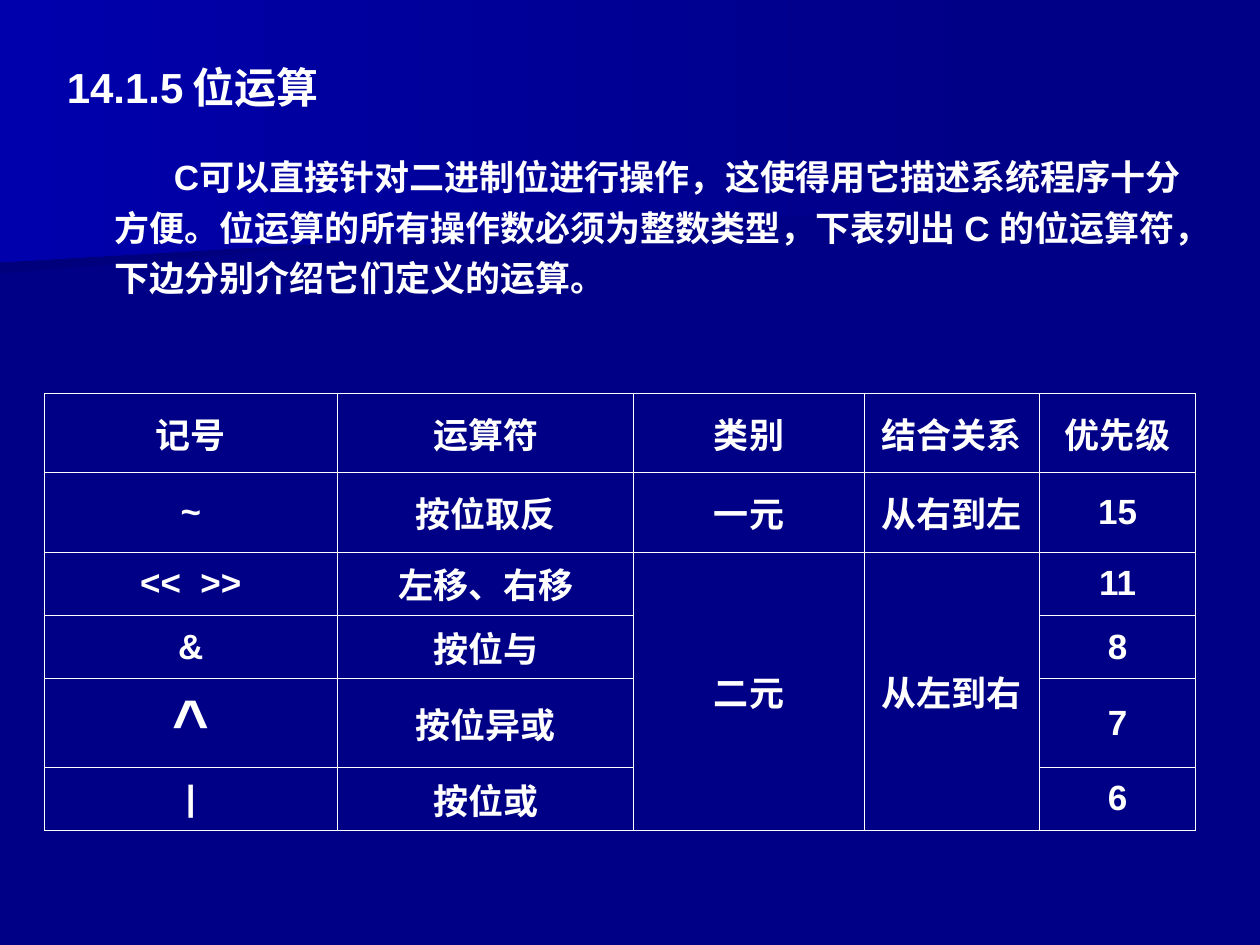
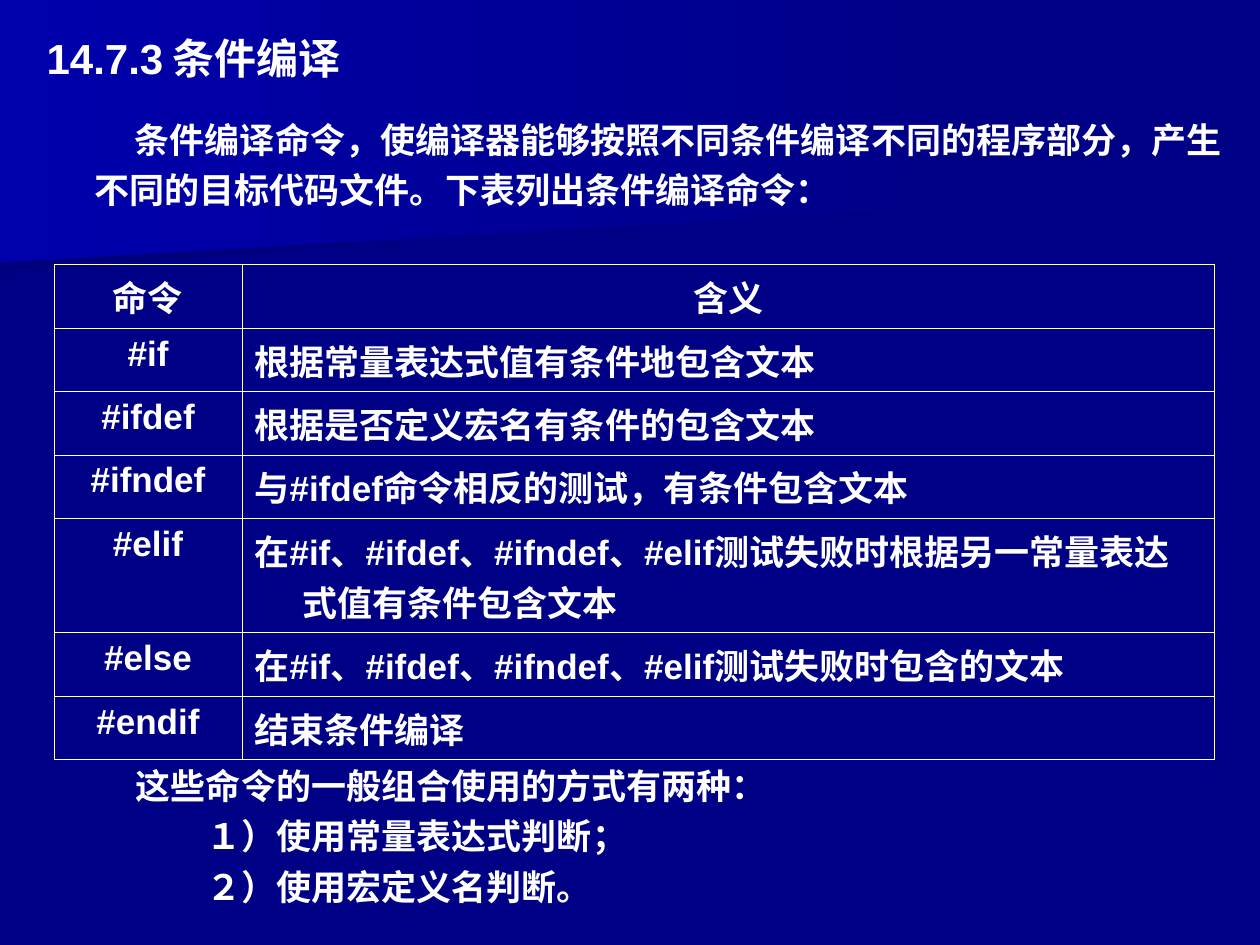
"""Build two slides on bitwise operators and conditional compilation."""
from dataclasses import dataclass

from lxml.etree import SubElement
from pptx import Presentation
from pptx.dml.color import RGBColor
from pptx.enum.text import MSO_ANCHOR, MSO_AUTO_SIZE, PP_ALIGN
from pptx.oxml.ns import qn
from pptx.util import Inches, Pt

COLORS = {"background": "000086", "shade": "00007D", "glow": "0000AC", "text": "FFFFFF"}
FONT = "Arial"
TITLE_TAB = 1.2
HANGING = 0.38


@dataclass(frozen=True)
class Box:
    """Position and size in inches."""
    left: float
    top: float
    width: float
    height: float


@dataclass(frozen=True)
class Band:
    """A background outline with a gradient that ends in the given colour."""
    points: tuple
    color: str


@dataclass(frozen=True)
class Grid:
    """A table with its place, measures and cell texts."""
    left: float
    top: float
    columns: tuple
    rows: tuple
    texts: tuple
    anchor: MSO_ANCHOR
    left_aligned_column: int | None = None
    merges: tuple = ()
    large_texts: tuple = ()


@dataclass(frozen=True)
class Topic:
    """The heading, opening paragraph and table of one slide."""
    title: str
    title_box: Box
    body: str
    body_box: Box
    first_indent: float
    grid: Grid


BANDS = (
    Band(((7.78, 1.53), (0, 2.17), (0, 1.01), (7.79, 1.01), (7.78, 1.28)), "shade"),
    Band(((7.92, 1.62), (0, 2.08), (0, 0), (7.92, 0)), "glow"),
)

OPERATORS = Grid(
    0.35, 3.12, (2.33, 2.35, 1.83, 1.39, 1.24), (0.63, 0.63, 0.44, 0.44, 0.7, 0.44),
    (
        ("记号", "运算符", "类别", "结合关系", "优先级"),
        ("~", "按位取反", "一元", "从右到左", "15"),
        ("<<  >>", "左移、右移", "二元", "从左到右", "11"),
        ("&", "按位与", "", "", "8"),
        ("^", "按位异或", "", "", "7"),
        ("|", "按位或", "", "", "6"),
    ),
    MSO_ANCHOR.MIDDLE,
    merges=(((2, 2), (5, 2)), ((2, 3), (5, 3))),
    large_texts=("^",),
)

DIRECTIVES = Grid(
    0.43, 2.1, (1.49, 7.72), (0.46, 0.46, 0.46, 0.46, 0.77, 0.5, 0.46),
    (
        ("命令", "含义"),
        ("#if", "根据常量表达式值有条件地包含文本"),
        ("#ifdef", "根据是否定义宏名有条件的包含文本"),
        ("#ifndef", "与#ifdef命令相反的测试，有条件包含文本"),
        ("#elif", "在#if、#ifdef、#ifndef、#elif测试失败时根据另一常量表达式值有条件包含文本"),
        ("#else", "在#if、#ifdef、#ifndef、#elif测试失败时包含的文本"),
        ("#endif", "结束条件编译"),
    ),
    MSO_ANCHOR.TOP,
    left_aligned_column=1,
)

TOPICS = (
    Topic(
        "14.1.5\t位运算", Box(0.43, 0.36, 9.06, 0.6),
        "C可以直接针对二进制位进行操作，这使得用它描述系统程序十分方便。"
        "位运算的所有操作数必须为整数类型，下表列出 C 的位运算符，下边分别介绍它们定义的运算。",
        Box(0.43, 1.12, 9.06, 1.37), 0.47, OPERATORS,
    ),
    Topic(
        "14.7.3\t条件编译", Box(0.27, 0.13, 9.65, 0.6),
        "条件编译命令，使编译器能够按照不同条件编译不同的程序部分，"
        "产生不同的目标代码文件。下表列出条件编译命令：",
        Box(0.27, 0.82, 9.65, 0.96), 0.32, DIRECTIVES,
    ),
)

USAGE_BOX = Box(0.98, 5.95, 8.19, 1.3)
USAGE_LINES = (
    ("这些命令的一般组合使用的方式有两种：", 0),
    ("１）使用常量表达式判断；", 0.56),
    ("２）使用宏定义名判断。", 0.56),
)


def rgb(name: str) -> RGBColor:
    """Return a named colour."""
    return RGBColor.from_string(COLORS[name])


def write(paragraph, text: str, *, size: float = 20, align=PP_ALIGN.LEFT, margin: float = 0,
          indent: float = 0, line_spacing: float = 1.0, tab: float | None = None) -> None:
    """Write formatted text without a bullet into a paragraph."""
    paragraph.alignment = align
    paragraph.line_spacing = line_spacing
    paragraph.space_before = paragraph.space_after = Pt(0)
    properties = paragraph._p.get_or_add_pPr()
    properties.set("marL", str(Inches(margin)))
    properties.set("indent", str(Inches(indent)))
    SubElement(properties, qn("a:buNone"))
    if tab is not None:
        tabs = SubElement(properties, qn("a:tabLst"))
        SubElement(tabs, qn("a:tab"), pos=str(Inches(tab)), algn="l")
    run = paragraph.add_run()
    run.text = text
    run.font.name = FONT
    run.font.size = Pt(size)
    run.font.bold = True
    run.font.color.rgb = rgb("text")


def place(shape, box: Box):
    """Move a text shape to its box and return its top-anchored text frame."""
    shape.left, shape.top = Inches(box.left), Inches(box.top)
    shape.width, shape.height = Inches(box.width), Inches(box.height)
    frame = shape.text_frame
    frame.word_wrap = True
    frame.auto_size = MSO_AUTO_SIZE.NONE
    frame.vertical_anchor = MSO_ANCHOR.TOP
    return frame


def draw_bands(slide, layout) -> None:
    """Draw the background bands and move them behind the layout's placeholders."""
    for position, band in enumerate(BANDS, start=2):
        points = [(Inches(x), Inches(y)) for x, y in band.points]
        builder = slide.shapes.build_freeform(*points[0])
        builder.add_line_segments(points[1:], close=True)
        shape = builder.convert_to_shape()
        shape.shadow.inherit = False
        shape.line.fill.background()
        shape.fill.gradient()
        shape.fill.gradient_angle = 180
        for stop, offset, color in zip(shape.fill.gradient_stops, (0, 1), ("background", band.color)):
            stop.position = offset
            stop.color.rgb = rgb(color)
        layout.shapes.element.insert(position, shape.element)


def outline_cell(cell) -> None:
    """Give a cell thin borders and no fill."""
    properties = cell._tc.get_or_add_tcPr()
    for side in ("lnL", "lnR", "lnT", "lnB"):
        line = SubElement(properties, qn(f"a:{side}"), w=str(Pt(0.45)))
        fill = SubElement(line, qn("a:solidFill"))
        SubElement(fill, qn("a:srgbClr"), val=COLORS["text"])
    cell.fill.background()


def draw_table(slide, grid: Grid) -> None:
    """Draw a bordered table."""
    table = slide.shapes.add_table(
        len(grid.rows), len(grid.columns), Inches(grid.left), Inches(grid.top),
        Inches(sum(grid.columns)), Inches(sum(grid.rows)),
    ).table
    table.first_row = table.horz_banding = False
    for column, width in zip(table.columns, grid.columns):
        column.width = Inches(width)
    for row, height, texts in zip(table.rows, grid.rows, grid.texts):
        row.height = Inches(height)
        for index, (cell, text) in enumerate(zip(row.cells, texts)):
            outline_cell(cell)
            cell.vertical_anchor = grid.anchor
            if not text:
                continue
            paragraph = cell.text_frame.paragraphs[0]
            size = 36 if text in grid.large_texts else 20
            if index == grid.left_aligned_column and row is not table.rows[0] and texts != grid.texts[0]:
                write(paragraph, text, size=size, margin=HANGING, indent=-HANGING)
            else:
                write(paragraph, text, size=size, align=PP_ALIGN.CENTER)
    for first, last in grid.merges:
        table.cell(*first).merge(table.cell(*last))


def draw_topic(slide, topic: Topic) -> None:
    """Fill one slide with its title, paragraph and table."""
    title = place(slide.shapes.title, topic.title_box)
    write(title.paragraphs[0], topic.title, size=24, line_spacing=1.2, tab=TITLE_TAB)
    body = place(slide.placeholders[1], topic.body_box)
    write(body.paragraphs[0], topic.body, margin=HANGING, indent=topic.first_indent, line_spacing=1.2)
    draw_table(slide, topic.grid)


def draw_usage(slide) -> None:
    """Add the closing lines on how the directives are combined."""
    frame = place(slide.shapes.add_textbox(0, 0, 0, 0), USAGE_BOX)
    for index, (text, margin) in enumerate(USAGE_LINES):
        paragraph = frame.add_paragraph() if index else frame.paragraphs[0]
        write(paragraph, text, margin=margin, line_spacing=1.2)


def main() -> None:
    """Build and save the presentation."""
    presentation = Presentation()
    presentation.slide_width, presentation.slide_height = Inches(10), Inches(7.5)
    background = presentation.slide_master.background.fill
    background.solid()
    background.fore_color.rgb = rgb("background")
    layout = presentation.slide_layouts[1]
    slides = [presentation.slides.add_slide(layout) for _ in TOPICS]
    draw_bands(slides[0], layout)
    for slide, topic in zip(slides, TOPICS):
        draw_topic(slide, topic)
    draw_usage(slides[-1])
    presentation.save("out.pptx")


if __name__ == "__main__":
    main()
